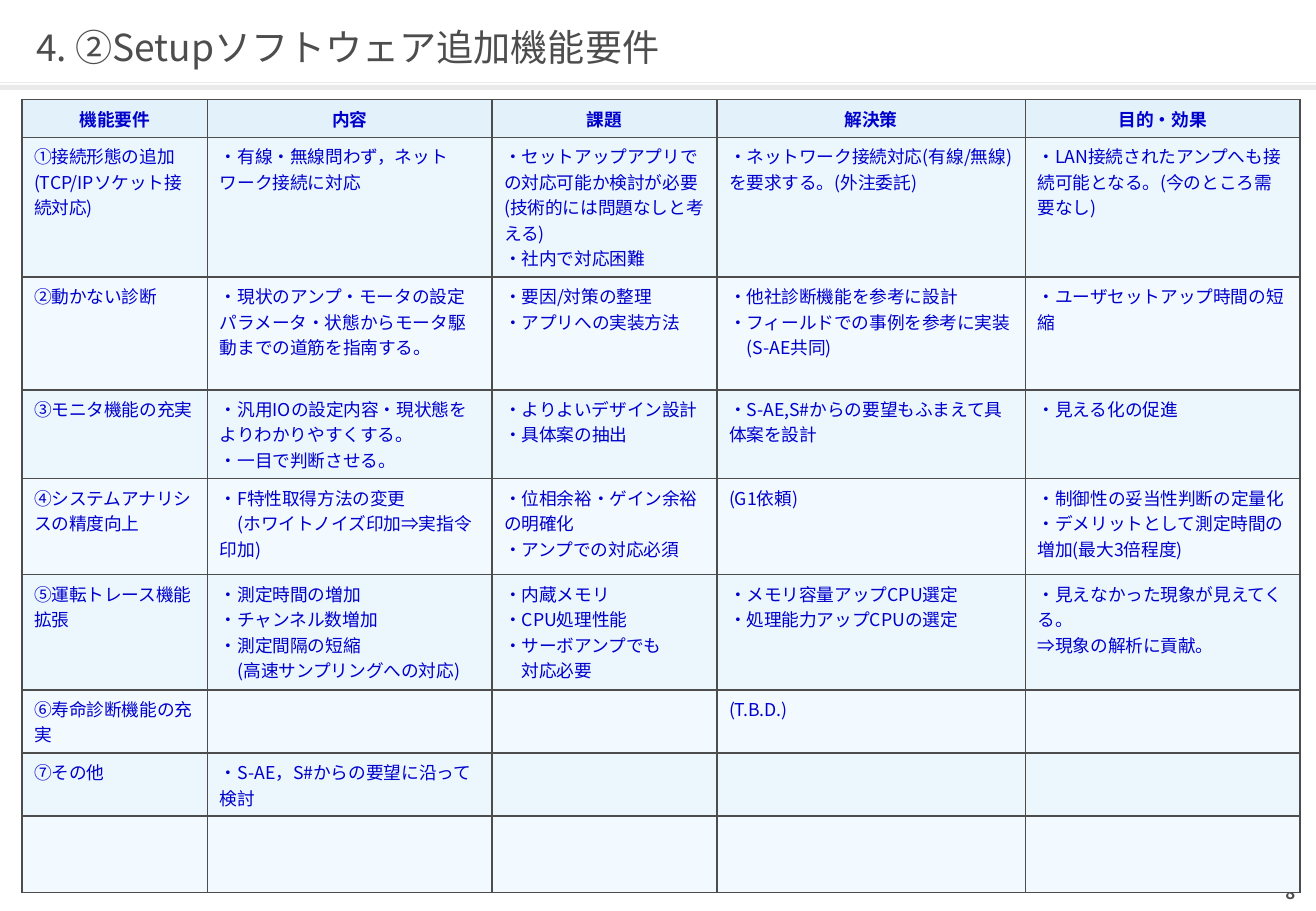
from lxml.etree import SubElement
from pptx import Presentation
from pptx.dml.color import RGBColor
from pptx.enum.shapes import MSO_CONNECTOR, MSO_SHAPE
from pptx.enum.text import MSO_ANCHOR, PP_ALIGN
from pptx.oxml.ns import qn
from pptx.util import Inches, Pt

FONT = "Noto Sans CJK JP"
GRAY = RGBColor(0x4D, 0x4D, 0x4D)
RULE = RGBColor(0xEA, 0xEA, 0xEA)
BLUE = RGBColor(0x00, 0x00, 0xCC)
HEADER_FILL = RGBColor(0xE2, 0xF1, 0xFA)
BAND_FILL = RGBColor(0xEB, 0xF6, 0xFD)
PLAIN_FILL = RGBColor(0xF2, 0xF9, 0xFF)

COLUMN_WIDTHS = [1.53, 2.34, 1.85, 2.54, 2.26]
ROW_HEIGHTS = [0.31, 1.15, 0.93, 0.73, 0.79, 0.95, 0.52, 0.52, 0.63]
ROWS = [
    ["機能要件", "内容", "課題", "解決策", "目的・効果"],
    ["①接続形態の追加\n(TCP/IPソケット接続対応)",
     "・有線・無線問わず，ネットワーク接続に対応",
     "・セットアップアプリでの対応可能か検討が必要(技術的には問題なしと考える)\n・社内で対応困難",
     "・ネットワーク接続対応(有線/無線)を要求する。(外注委託)",
     "・LAN接続されたアンプへも接続可能となる。(今のところ需要なし)"],
    ["②動かない診断",
     "・現状のアンプ・モータの設定パラメータ・状態からモータ駆動までの道筋を指南する。",
     "・要因/対策の整理\n・アプリへの実装方法",
     "・他社診断機能を参考に設計\n・フィールドでの事例を参考に実装\n　(S-AE共同)",
     "・ユーザセットアップ時間の短縮"],
    ["③モニタ機能の充実",
     "・汎用IOの設定内容・現状態をよりわかりやすくする。\n・一目で判断させる。",
     "・よりよいデザイン設計\n・具体案の抽出",
     "・S-AE,S#からの要望もふまえて具体案を設計",
     "・見える化の促進"],
    ["④システムアナリシスの精度向上",
     "・F特性取得方法の変更\n　(ホワイトノイズ印加⇒実指令印加)",
     "・位相余裕・ゲイン余裕の明確化\n・アンプでの対応必須",
     "(G1依頼)",
     "・制御性の妥当性判断の定量化\n・デメリットとして測定時間の増加(最大3倍程度)"],
    ["⑤運転トレース機能拡張",
     "・測定時間の増加\n・チャンネル数増加\n・測定間隔の短縮\n　(高速サンプリングへの対応)",
     "・内蔵メモリ\n・CPU処理性能\n・サーボアンプでも\v　対応必要",
     "・メモリ容量アップCPU選定\n・処理能力アップCPUの選定",
     "・見えなかった現象が見えてくる。\n⇒現象の解析に貢献。"],
    ["⑥寿命診断機能の充実", "", "", "(T.B.D.)", ""],
    ["⑦その他", "・S-AE，S#からの要望に沿って検討", "", "", ""],
    ["", "", "", "", ""],
]


def write(frame, text, size, color, bold=False, align=PP_ALIGN.LEFT):
    frame.text = text
    frame.word_wrap = True
    for paragraph in frame.paragraphs:
        paragraph.alignment = align
        paragraph.font.size = Pt(size)
        for run in paragraph.runs:
            run.font.size = Pt(size)
            run.font.bold = bold
            run.font.color.rgb = color
            run.font.name = FONT
            SubElement(run.font._element, qn("a:ea"), typeface=FONT)


def draw_borders(cell, color, width):
    properties = cell._tc.get_or_add_tcPr()
    for index, side in enumerate(["a:lnL", "a:lnR", "a:lnT", "a:lnB"]):
        border = SubElement(properties, qn(side), w=str(Pt(width)))
        fill = SubElement(border, qn("a:solidFill"))
        SubElement(fill, qn("a:srgbClr"), val=str(color))
        properties.insert(index, border)


presentation = Presentation()
presentation.slide_width = Inches(10.83)
presentation.slide_height = Inches(7.5)
slide = presentation.slides.add_slide(presentation.slide_layouts[5])
width = presentation.slide_width

line = slide.shapes.add_connector(MSO_CONNECTOR.STRAIGHT, 0, Inches(0.68), width, Inches(0.68))
line.line.color.rgb = RULE
line.line.width = Pt(0.75)
SubElement(line._element.spPr, qn("a:effectLst"))

bar = slide.shapes.add_shape(MSO_SHAPE.RECTANGLE, 0, Inches(0.7), width, Inches(0.04))
bar.shadow.inherit = False
bar.fill.solid()
bar.fill.fore_color.rgb = RULE
bar.line.fill.background()

title = slide.shapes.title
title.left, title.top, title.width, title.height = map(Inches, (0.3, 0.17, 10.24, 0.43))
write(title.text_frame, "4. ②Setupソフトウェア追加機能要件", size=22, color=GRAY)

number = slide.shapes.add_textbox(*map(Inches, (8.13, 7.21, 2.53, 0.28)))
write(number.text_frame, "8", size=10, color=GRAY, bold=True, align=PP_ALIGN.RIGHT)

for frame in (title.text_frame, number.text_frame):
    frame.vertical_anchor = MSO_ANCHOR.MIDDLE
    frame.margin_left = frame.margin_right = frame.margin_top = frame.margin_bottom = 0

table = slide.shapes.add_table(
    len(ROWS), len(COLUMN_WIDTHS), Inches(0.18), Inches(0.82),
    Inches(sum(COLUMN_WIDTHS)), Inches(sum(ROW_HEIGHTS))).table
table.horz_banding = False
for column, column_width in zip(table.columns, COLUMN_WIDTHS):
    column.width = Inches(column_width)

for row_index, (row, row_height, texts) in enumerate(zip(table.rows, ROW_HEIGHTS, ROWS)):
    row.height = Inches(row_height)
    header = row_index == 0
    row_fill = HEADER_FILL if header else BAND_FILL if row_index % 2 else PLAIN_FILL
    for cell, text in zip(row.cells, texts):
        write(cell.text_frame, text, size=10.5, color=BLUE, bold=header,
              align=PP_ALIGN.CENTER if header else PP_ALIGN.LEFT)
        cell.fill.solid()
        cell.fill.fore_color.rgb = row_fill
        draw_borders(cell, color=GRAY, width=1)

presentation.save("out.pptx")
